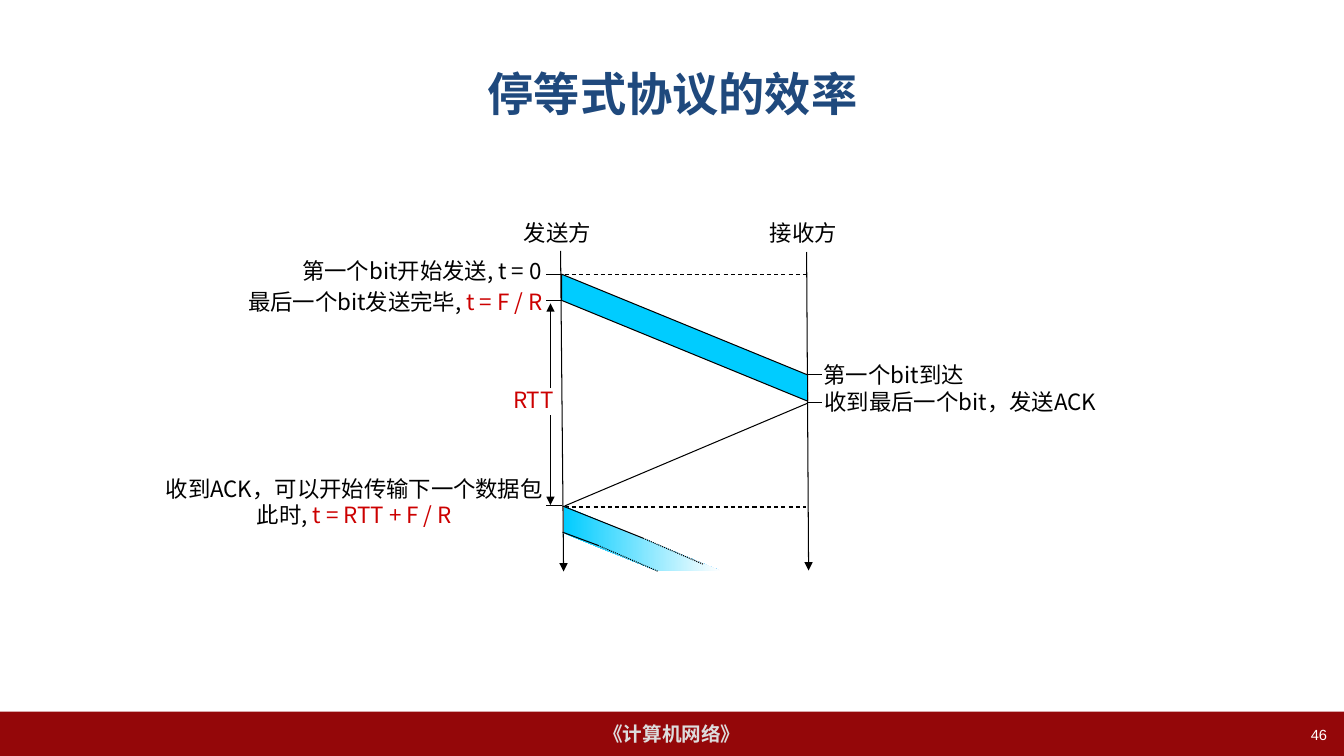
import pptx
import pptx.util
import pptx.dml.color
import pptx.enum.dml
import pptx.enum.shapes
import pptx.enum.text
from dataclasses import dataclass
from lxml import etree

Inches = pptx.util.Inches
ALIGN = pptx.enum.text.PP_ALIGN
ANCHOR = pptx.enum.text.MSO_ANCHOR
DASH = pptx.enum.dml.MSO_LINE
A = "{http://schemas.openxmlformats.org/drawingml/2006/main}"


@dataclass(frozen=True)
class Theme:
    latin: str = "Arial"
    chinese: str = "Noto Sans CJK SC"
    title: str = "1F497D"
    band: str = "940709"
    course: str = "DDDDDD"
    ink: str = "000000"
    formula: str = "CC0000"
    frame: str = "00CCFF"
    paper: str = "FFFFFF"
    title_size: float = 33
    label_size: float = 16
    course_size: float = 14
    number_size: float = 10.5
    line_width: float = 0.75


THEME = Theme()

# Content: box (left, top, width, height), alignment, paragraphs of (text, colour) runs
TITLE = "停等式协议的效率"
COURSE = "《计算机网络》"
PAGE = "46"
LABELS = [
    ((4.99, 2.12, 0.97, 0.38), ALIGN.RIGHT, [[("发送方", THEME.ink)]]),
    ((7.37, 2.12, 1.03, 0.38), ALIGN.RIGHT, [[("接收方", THEME.ink)]]),
    ((1.94, 2.5, 3.53, 0.39), ALIGN.RIGHT, [[("第一个bit开始发送, t = 0", THEME.ink)]]),
    ((1.69, 2.81, 3.79, 0.39), ALIGN.RIGHT,
     [[("最后一个bit发送完毕, ", THEME.ink), ("t = F / R", THEME.formula)]]),
    ((4.7, 3.78, 0.89, 0.37), ALIGN.RIGHT, [[("RTT", THEME.formula)]]),
    ((8.07, 3.53, 2.65, 0.39), ALIGN.LEFT, [[("第一个bit到达", THEME.ink)]]),
    ((8.08, 3.8, 3.41, 0.62), ALIGN.LEFT, [[("收到最后一个bit，发送ACK", THEME.ink)]]),
    ((1.5, 4.66, 4.03, 0.69), ALIGN.CENTER,
     [[("收到ACK，可以开始传输下一个数据包", THEME.ink)],
      [("此时, ", THEME.ink), ("t = RTT + F / R", THEME.formula)]]),
]

# Diagram measures: sender and receiver axes, and the moments on the time axis
SENDER, RECEIVER = 5.57, 8.01
FIRST_SENT, FRAME_TIME, DELAY = 2.72, 0.26, 1.0
LAST_SENT = FIRST_SENT + FRAME_TIME
FIRST_ARRIVED = FIRST_SENT + DELAY
LAST_ARRIVED = LAST_SENT + DELAY
ACK_ARRIVED = 5.02
CUT_OFF = 5.66
TICK = 0.15
RTT_X = 5.46

presentation = pptx.Presentation()
presentation.slide_width, presentation.slide_height = Inches(13.33), Inches(7.5)
slide = presentation.slides.add_slide(presentation.slide_layouts[6])


def rgb(colour):
    return pptx.dml.color.RGBColor.from_string(colour)


def write(frame, paragraphs, align, size, font, bold=False, anchor=ANCHOR.TOP):
    frame.word_wrap = True
    frame.vertical_anchor = anchor
    for index, runs in enumerate(paragraphs):
        paragraph = frame.add_paragraph() if index else frame.paragraphs[0]
        paragraph.alignment = align
        for text, colour in runs:
            run = paragraph.add_run()
            run.text = text
            run.font.size = pptx.util.Pt(size)
            run.font.bold = bold
            run.font.color.rgb = rgb(colour)
            run.font.name = font
            etree.SubElement(run.font._element, A + "ea", typeface=THEME.chinese)


def text_box(box, *text, **style):
    area = slide.shapes.add_textbox(*map(Inches, box))
    write(area.text_frame, *text, **style)


def line(start, end, dash=None, arrow=False):
    connector = slide.shapes.add_connector(
        pptx.enum.shapes.MSO_CONNECTOR.STRAIGHT, *map(Inches, (*start, *end)))
    connector.line.color.rgb = rgb(THEME.ink)
    connector.line.width = pptx.util.Pt(THEME.line_width)
    if dash:
        connector.line.dash_style = dash
    if arrow:
        etree.SubElement(connector.line._get_or_add_ln(), A + "tailEnd", type="triangle")
    etree.SubElement(connector._element.spPr, A + "effectLst")


def outline(points):
    corners = [(Inches(x), Inches(y)) for x, y in points]
    builder = slide.shapes.build_freeform(*corners[0], scale=1.0)
    builder.add_line_segments(corners[1:], close=True)
    shape = builder.convert_to_shape()
    shape.shadow.inherit = False
    return shape


# Footer band, title and page number
band = slide.shapes.add_shape(pptx.enum.shapes.MSO_SHAPE.RECTANGLE,
                              *map(Inches, (0, 7.06, 13.33, 0.44)))
band.shadow.inherit = False
band.fill.solid()
band.fill.fore_color.rgb = rgb(THEME.band)
band.line.fill.background()
write(band.text_frame, [[(COURSE, THEME.course)]], ALIGN.CENTER, THEME.course_size,
      THEME.latin, bold=True, anchor=ANCHOR.MIDDLE)
text_box((0.67, 0.3, 12, 1.25), [[(TITLE, THEME.title)]], ALIGN.CENTER, THEME.title_size,
         THEME.latin, bold=True, anchor=ANCHOR.MIDDLE)
text_box((10.15, 7.15, 3.11, 0.35), [[(PAGE, THEME.paper)]], ALIGN.RIGHT,
         THEME.number_size, THEME.latin)

# Labels
for box, align, paragraphs in LABELS:
    text_box(box, paragraphs, align, THEME.label_size, THEME.chinese)

# Time axes, levels and acknowledgement
line((5.56, 2.49), (5.59, 5.67), arrow=True)
line((8, 2.5), (8.02, 5.66), arrow=True)
for moment in (FIRST_SENT, ACK_ARRIVED + 0.01):
    line((5.6, moment), (7.99, moment), dash=DASH.DASH)
line((RECEIVER, LAST_ARRIVED + 0.02), (5.6, ACK_ARRIVED))

# First frame
first_frame = outline([(SENDER, FIRST_SENT), (RECEIVER, FIRST_ARRIVED),
                       (RECEIVER, LAST_ARRIVED), (SENDER, LAST_SENT)])
first_frame.fill.solid()
first_frame.fill.fore_color.rgb = rgb(THEME.frame)
first_frame.line.color.rgb = rgb(THEME.ink)
first_frame.line.width = pptx.util.Pt(THEME.line_width)

# Ticks beside the axes
for moment in (FIRST_SENT, LAST_SENT, ACK_ARRIVED):
    line((SENDER, moment), (SENDER - TICK, moment))
for moment in (FIRST_ARRIVED, LAST_ARRIVED + 0.01):
    line((RECEIVER - 0.01, moment), (RECEIVER - 0.01 + TICK, moment))

# Round-trip span, open around its label
line((RTT_X, 3.85), (RTT_X, 3.01), arrow=True)
line((RTT_X, 4.12), (RTT_X, 5.01), arrow=True)

# Next frame, fading out
next_frame = outline([(5.59, ACK_ARRIVED), (7.14, CUT_OFF), (6.51, CUT_OFF),
                      (5.59, ACK_ARRIVED + FRAME_TIME + 0.01)])
next_frame.fill.gradient()
next_frame.fill.gradient_angle = 0
for stop, colour in zip(next_frame.fill.gradient_stops, (THEME.frame, THEME.paper)):
    stop.color.rgb = rgb(colour)
next_frame.line.fill.background()
for start, bend, end in [
    ((5.58, 5.02), (6.38, 5.34), (6.98, 5.6)),
    ((5.58, 5.28), (5.93, 5.41), (6.53, 5.67)),
]:
    line(start, bend)
    line(bend, end, dash=DASH.ROUND_DOT)

presentation.save("out.pptx")
